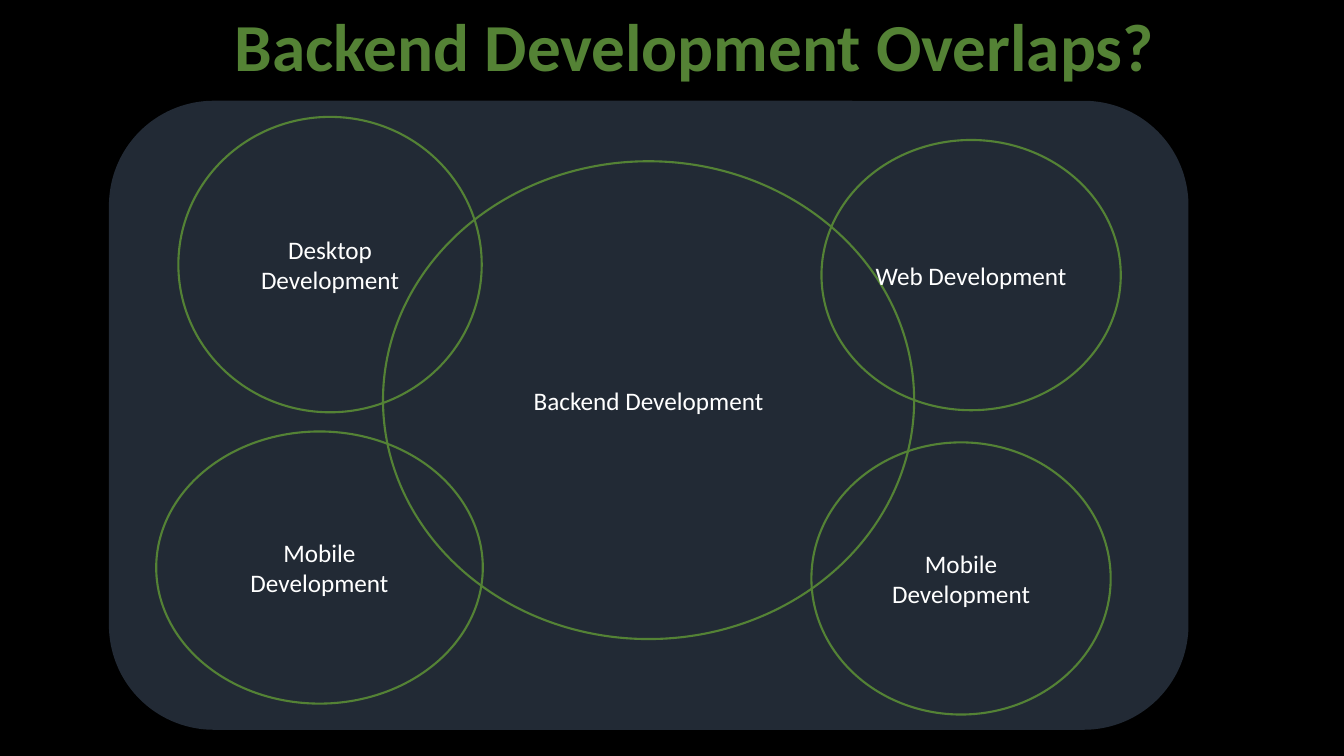
from dataclasses import dataclass

from pptx import Presentation
from pptx.dml.color import RGBColor
from pptx.enum.shapes import MSO_SHAPE
from pptx.enum.text import MSO_ANCHOR, PP_ALIGN
from pptx.util import Pt


@dataclass(frozen=True)
class Theme:
    back: str = "000000"
    panel: str = "222A35"
    green: str = "548235"
    white: str = "FFFFFF"
    face: str = "Calibri"
    head: int = 48
    body: int = 18
    line: float = 1.5


THEME = Theme()

FIELDS = [
    ("Backend Development", (273.6, 115.2, 379.4, 341.3)),
    ("Web Development", (586.8, 100, 213.8, 193)),
    ("Desktop Development", (127.4, 83.5, 216.7, 211)),
    ("Mobile Development", (111.6, 308.2, 233.3, 194.4)),
    ("Mobile Development", (579.6, 316, 213.8, 194.4)),
]


def apply(item, form):
    for name, value in form.items():
        setattr(item, name, value)


def paint(fill, color):
    fill.solid()
    fill.fore_color.rgb = RGBColor.from_string(color)


def write(shape, text, size, color, bold=False, anchor=MSO_ANCHOR.MIDDLE, space=1.0):
    frame = shape.text_frame
    apply(frame, {"word_wrap": True, "vertical_anchor": anchor})
    para = frame.paragraphs[0]
    apply(para, {"alignment": PP_ALIGN.CENTER, "line_spacing": space})
    run = para.add_run()
    run.text = text
    apply(run.font, {"name": THEME.face, "size": Pt(size), "bold": bold})
    run.font.color.rgb = RGBColor.from_string(color)


def add_title(slide, text, box):
    title = slide.shapes.add_textbox(*map(Pt, box))
    write(title, text, THEME.head, THEME.green, True, MSO_ANCHOR.BOTTOM, 0.9)


def add_panel(slide, box):
    panel = slide.shapes.add_shape(MSO_SHAPE.ROUNDED_RECTANGLE, *map(Pt, box))
    panel.shadow.inherit = False
    paint(panel.fill, THEME.panel)
    panel.line.fill.background()


def add_field(slide, text, box):
    oval = slide.shapes.add_shape(MSO_SHAPE.OVAL, *map(Pt, box))
    oval.shadow.inherit = False
    oval.fill.background()
    paint(oval.line.fill, THEME.green)
    oval.line.width = Pt(THEME.line)
    write(oval, text, THEME.body, THEME.white)


def main():
    deck = Presentation()
    apply(deck, {"slide_width": Pt(960), "slide_height": Pt(540)})
    slide = deck.slides.add_slide(deck.slide_layouts[6])
    paint(slide.background.fill, THEME.back)
    add_title(slide, "Backend Development Overlaps?", (89.3, -25.9, 813.6, 90.7))
    add_panel(slide, (77.8, 72, 771.1, 449.3))
    for text, box in FIELDS:
        add_field(slide, text, box)
    deck.save("out.pptx")


if __name__ == "__main__":
    main()
